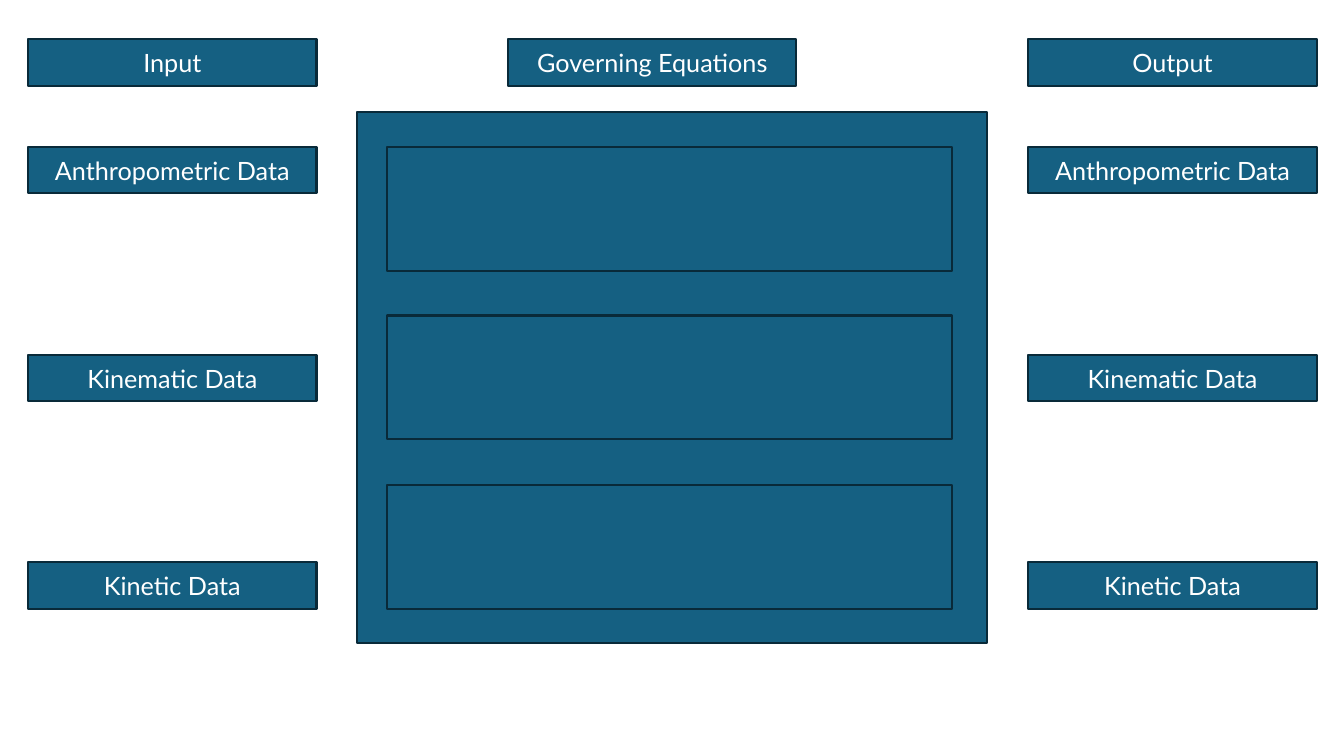
"""Build a slide that maps input data through governing equations to output data."""
from dataclasses import dataclass

from pptx import Presentation
from pptx import util as u
from pptx.dml.color import RGBColor
from pptx.enum import shapes, text
from pptx.slide import Slide

PX = 9144
COLORS = {"fill": "156082", "line": "092A39", "text": "FFFFFF"}
FONT = "Lato"
LABEL_W, LABEL_H = 286, 46
HEADER_Y, ROWS_Y, ROW_PITCH = 39, 146, 206
INPUT_X, EQUATIONS_X, OUTPUT_X = 28, 504, 1020
HEADERS = {INPUT_X: "Input", EQUATIONS_X: "Governing Equations", OUTPUT_X: "Output"}
DATA_KINDS = ["Anthropometric Data", "Kinematic Data", "Kinetic Data"]
PANEL_X, PANEL_W, PANEL_H = 384, 560, 123
PANELS_END = ROWS_Y + 2 * ROW_PITCH + LABEL_H


@dataclass(frozen=True)
class Box:
    """A bordered rectangle in px, with an optional caption."""
    x: int
    y: int
    w: int
    h: int
    caption: str = ""


def rgb(name: str) -> RGBColor:
    """Look up a named colour."""
    return RGBColor.from_string(COLORS[name])


def draw_box(s: Slide, box: Box) -> None:
    """Draw one box and its caption."""
    sp = s.shapes.add_shape(
        shapes.MSO_SHAPE.RECTANGLE,
        *(u.Emu(n * PX) for n in (box.x, box.y, box.w, box.h)),
    )
    sp.shadow.inherit = False
    sp.fill.solid()
    sp.fill.fore_color.rgb = rgb("fill")
    sp.line.color.rgb = rgb("line")
    sp.line.width = u.Pt(1.5)
    if not box.caption:
        return
    tf = sp.text_frame
    tf.word_wrap = True
    tf.vertical_anchor = text.MSO_ANCHOR.MIDDLE
    p = tf.paragraphs[0]
    p.alignment = text.PP_ALIGN.CENTER
    r = p.add_run()
    r.text = box.caption
    r.font.name = FONT
    r.font.size = u.Pt(18)
    r.font.color.rgb = rgb("text")


def layout_boxes() -> list[Box]:
    """List every box from back to front."""
    container = Box(354, 111, 625, 527)
    headers = [Box(x, HEADER_Y, LABEL_W, LABEL_H, name) for x, name in HEADERS.items()]
    panel_span = PANELS_END - PANEL_H - ROWS_Y
    panels = [
        Box(PANEL_X, ROWS_Y + i * panel_span // 2, PANEL_W, PANEL_H) for i in range(3)
    ]
    data = [
        Box(x, ROWS_Y + i * ROW_PITCH, LABEL_W, LABEL_H, name)
        for x in (INPUT_X, OUTPUT_X)
        for i, name in enumerate(DATA_KINDS)
    ]
    return [container, *headers, *panels, *data]


def main() -> None:
    """Create and save the presentation."""
    prs = Presentation()
    prs.slide_width, prs.slide_height = u.Emu(1333 * PX), u.Emu(750 * PX)
    s = prs.slides.add_slide(prs.slide_layouts[6])
    for box in layout_boxes():
        draw_box(s, box)
    prs.save("out.pptx")


if __name__ == "__main__":
    main()
